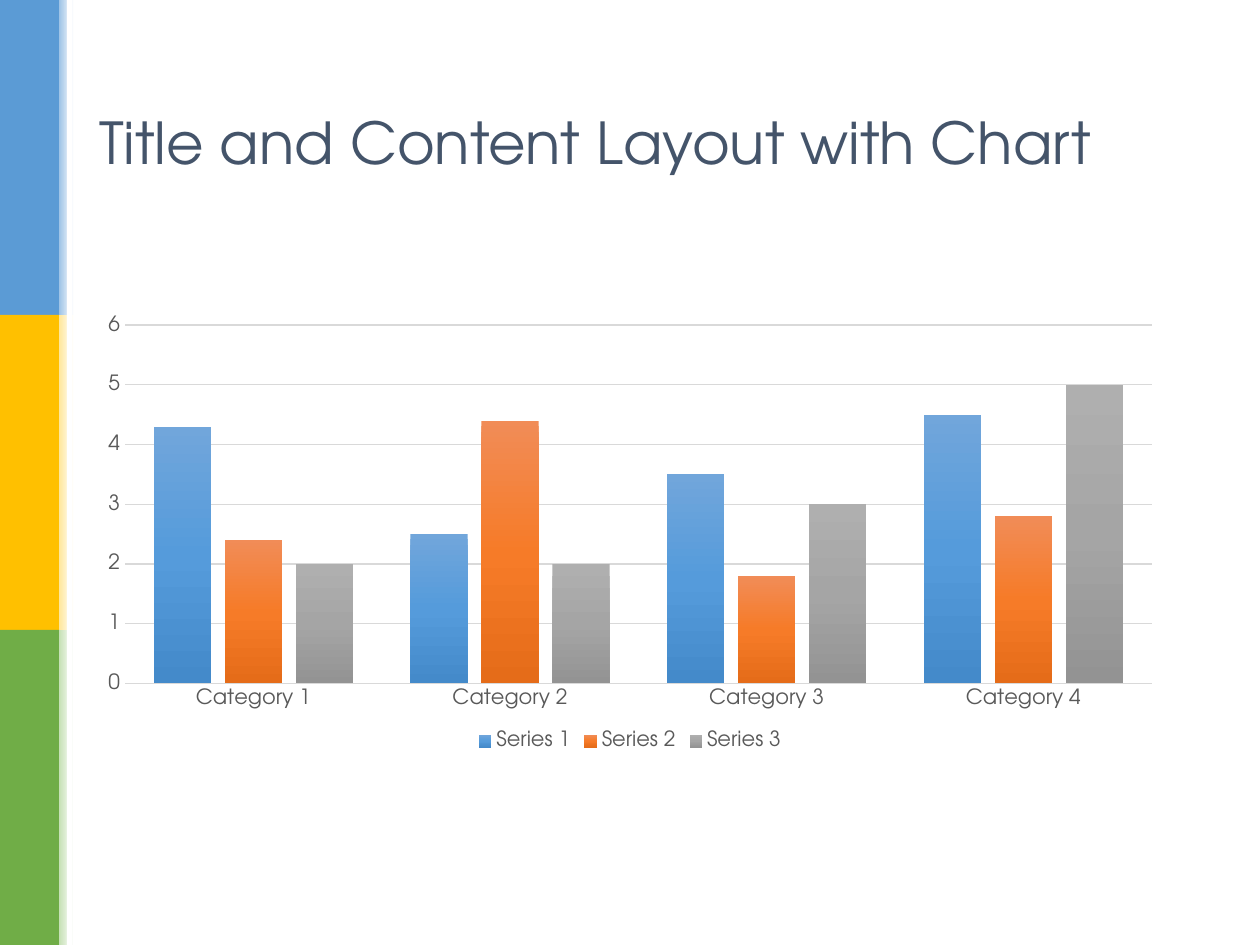
from dataclasses import dataclass

from lxml.etree import SubElement
from pptx import Presentation
from pptx.chart.data import CategoryChartData
from pptx.dml.color import RGBColor
from pptx.enum.chart import XL_CHART_TYPE, XL_LEGEND_POSITION, XL_TICK_MARK
from pptx.enum.shapes import MSO_SHAPE
from pptx.enum.text import MSO_ANCHOR, MSO_AUTO_SIZE, PP_ALIGN
from pptx.oxml.ns import qn
from pptx.util import Pt


@dataclass(frozen=True)
class Theme:
    font: str = "TeX Gyre Adventor"
    title_size: int = 33
    label_size: int = 12
    title: str = "44546A"
    label: str = "595959"
    grid: str = "D9D9D9"
    white: str = "FFFFFF"
    bands: tuple = (("5B9BD5", "9DC3E6"), ("FFC000", "FFE699"), ("70AD47", "C5E0B4"))
    series: tuple = (
        ("71A6DB", "559BDB", "448ACA"),
        ("F18C57", "F67B28", "E56C19"),
        ("AFAFAF", "A5A5A5", "939393"),
    )


THEME = Theme()
WIDTH, HEIGHT = 720, 540
LEFT, CONTENT_WIDTH = 49.5, 621
BAND_WIDTH, FADE_WIDTH = 33.75, 8.5

CATEGORIES = ("Category 1", "Category 2", "Category 3", "Category 4")
SERIES = {
    "Series 1": (4.3, 2.5, 3.5, 4.5),
    "Series 2": (2.4, 4.4, 1.8, 2.8),
    "Series 3": (2, 2, 3, 5),
}


def rgb(color):
    return RGBColor.from_string(color)


def format_font(font, size, color):
    font.name = THEME.font
    font.size = Pt(size)
    font.bold = False
    font.color.rgb = rgb(color)


def set_text(tf, text, *, size, color, align=PP_ALIGN.LEFT, anchor=MSO_ANCHOR.MIDDLE):
    tf.word_wrap = True
    tf.auto_size = MSO_AUTO_SIZE.NONE
    tf.vertical_anchor = anchor
    p = tf.paragraphs[0]
    p.alignment = align
    r = p.add_run()
    r.text = text
    format_font(r.font, size, color)


def set_gradient(fill, sp_pr, colors, angle=0):
    fill.gradient()
    fill.gradient_angle = angle
    stops = sp_pr.find(".//" + qn("a:gsLst"))
    for stop in list(stops):
        stops.remove(stop)
    for i, color in enumerate(colors):
        stop = SubElement(stops, qn("a:gs"), pos=str(100000 * i // (len(colors) - 1)))
        SubElement(stop, qn("a:srgbClr"), val=color)


def add_bar(s, left, top, width, height, *colors):
    sp = s.shapes.add_shape(MSO_SHAPE.RECTANGLE, Pt(left), Pt(top), Pt(width), Pt(height))
    sp.shadow.inherit = False
    sp.line.fill.background()
    if len(colors) > 1:
        set_gradient(sp.fill, sp._element.spPr, colors)
    else:
        sp.fill.solid()
        sp.fill.fore_color.rgb = rgb(colors[0])


def add_side_bands(s):
    height = HEIGHT / len(THEME.bands)
    for i, (color, tint) in enumerate(THEME.bands):
        add_bar(s, 0, i * height, BAND_WIDTH, height, color)
        add_bar(s, BAND_WIDTH, i * height, FADE_WIDTH, height, tint, THEME.white)
    add_bar(s, 38.25, 0, 3, HEIGHT, THEME.white)


def add_title(s, text):
    sp = s.shapes.title
    sp.left, sp.top, sp.width, sp.height = Pt(LEFT), Pt(28.75), Pt(CONTENT_WIDTH), Pt(104.4)
    set_text(sp.text_frame, text, size=THEME.title_size, color=THEME.title)


def format_line(line, width):
    line.color.rgb = rgb(THEME.grid)
    line.width = Pt(width)


def format_axes(chart):
    for axis in (chart.category_axis, chart.value_axis):
        axis.major_tick_mark = axis.minor_tick_mark = XL_TICK_MARK.NONE
        format_font(axis.tick_labels.font, THEME.label_size, THEME.label)
    format_line(chart.category_axis.format.line, 1)
    axis = chart.value_axis
    axis.minimum_scale, axis.maximum_scale, axis.major_unit = 0, 6, 1
    axis.format.line.fill.background()
    format_line(axis.major_gridlines.format.line, 0.75)


def add_column_chart(s, categories, series):
    data = CategoryChartData()
    data.categories = categories
    for name, values in series.items():
        data.add_series(name, values)
    chart = s.shapes.add_chart(
        XL_CHART_TYPE.COLUMN_CLUSTERED, Pt(LEFT), Pt(175), Pt(CONTENT_WIDTH), Pt(257), data
    ).chart
    format_font(chart.font, THEME.label_size, THEME.label)
    chart.has_title = False
    chart.has_legend = True
    chart.legend.position = XL_LEGEND_POSITION.BOTTOM
    chart.legend.include_in_layout = False
    format_font(chart.legend.font, THEME.label_size, THEME.label)
    format_axes(chart)
    plot = chart.plots[0]
    plot.gap_width, plot.overlap = 100, -24
    plot.vary_by_categories = False
    for ser, colors in zip(plot.series, THEME.series):
        set_gradient(ser.format.fill, ser._element.get_or_add_spPr(), colors, angle=270)


def main():
    prs = Presentation()
    prs.slide_width, prs.slide_height = Pt(WIDTH), Pt(HEIGHT)
    s = prs.slides.add_slide(prs.slide_layouts[5])
    add_side_bands(s)
    add_column_chart(s, CATEGORIES, SERIES)
    add_title(s, "Title and Content Layout with Chart")
    prs.save("out.pptx")


if __name__ == "__main__":
    main()
